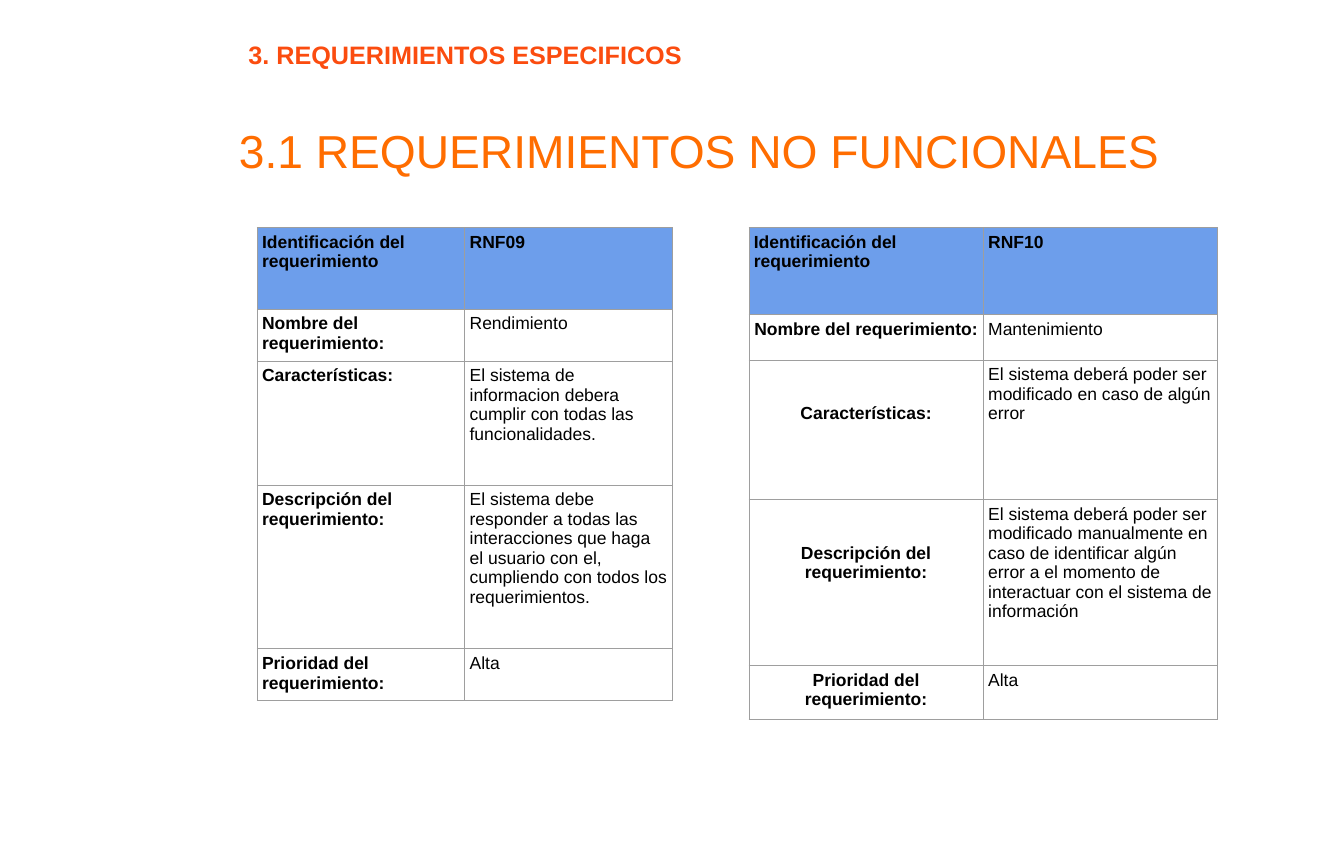
from lxml import etree
from pptx import Presentation
from pptx.dml.color import RGBColor
from pptx.enum.text import MSO_ANCHOR, MSO_AUTO_SIZE, PP_ALIGN
from pptx.oxml.ns import qn
from pptx.util import Inches, Pt

MIDDLE = MSO_ANCHOR.MIDDLE
NO_AUTOFIT = MSO_AUTO_SIZE.NONE
LEFT, CENTER = PP_ALIGN.LEFT, PP_ALIGN.CENTER

ORANGE = RGBColor(0xFF, 0x6D, 0x00)
RED_ORANGE = RGBColor(0xFB, 0x4C, 0x0F)
BLACK = RGBColor(0, 0, 0)
HEADER_BLUE = RGBColor(0x6D, 0x9E, 0xEB)
BORDER_GRAY = RGBColor(0x9E, 0x9E, 0x9E)

SLIDE_WIDTH, SLIDE_HEIGHT = 26.67, 17.22
TABLE_TOP = 4.51
CELL_MARGIN = 0.1
LOWERED_MARGIN = 0.87  # two text lines below the usual margin
MARGIN_SIDES = ("left", "right", "top", "bottom")

TITLE = "3.1 REQUERIMIENTOS NO FUNCIONALES"
SECTION = "3. REQUERIMIENTOS ESPECIFICOS"
LABELS = [
    "Identificación del requerimiento",
    "Nombre del requerimiento:",
    "Características:",
    "Descripción del requerimiento:",
    "Prioridad del requerimiento:",
]
REQUIREMENTS = [
    {
        "left": 5.1,
        "column_width": 4.12,
        "row_heights": [1.62, 1.03, 2.46, 3.25, 1.03],
        "label_alignment": LEFT,
        "lowered_rows": (),
        "values": [
            "RNF09",
            "Rendimiento",
            "El sistema de informacion debera cumplir con todas las funcionalidades.",
            "El sistema debe responder a todas las interacciones que haga el usuario "
            "con el, cumpliendo con todos los requerimientos.",
            "Alta",
        ],
    },
    {
        "left": 14.86,
        "column_width": 4.65,
        "row_heights": [1.73, 0.9, 2.77, 3.29, 1.07],
        "label_alignment": CENTER,
        "lowered_rows": (2, 3),
        "values": [
            "RNF10",
            "Mantenimiento",
            "El sistema deberá poder ser modificado en caso de algún error",
            "El sistema deberá poder ser modificado manualmente en caso de identificar "
            "algún error a el momento de interactuar con el sistema de información",
            "Alta",
        ],
    },
]


def write_text(text_frame, text, size, color, bold, alignment):
    paragraph = text_frame.paragraphs[0]
    paragraph.alignment = alignment
    run = paragraph.add_run()
    run.text = text
    font_values = {"name": "Arial", "size": Pt(size), "bold": bold}
    for name, value in font_values.items():
        setattr(run.font, name, value)
    run.font.color.rgb = color


def set_margins(target, margins):
    for side, margin in zip(MARGIN_SIDES, margins):
        setattr(target, f"margin_{side}", Inches(margin))


def place_heading(shape, box, *text_format):
    for name, value in zip(("left", "top", "width", "height"), box):
        setattr(shape, name, Inches(value))
    text_frame = shape.text_frame
    frame_values = {"word_wrap": True, "auto_size": NO_AUTOFIT, "vertical_anchor": MIDDLE}
    for name, value in frame_values.items():
        setattr(text_frame, name, value)
    set_margins(text_frame, [0.08] * 4)
    write_text(text_frame, *text_format)


def add_borders(cell):
    properties = cell._tc.get_or_add_tcPr()
    for side in ("lnL", "lnR", "lnT", "lnB"):
        line = etree.SubElement(properties, qn(f"a:{side}"), w=str(Pt(0.75)))
        fill = etree.SubElement(line, qn("a:solidFill"))
        etree.SubElement(fill, qn("a:srgbClr"), val=str(BORDER_GRAY))


def format_cell(cell, text, bold, alignment, is_header, top_margin):
    add_borders(cell)
    if is_header:
        cell.fill.solid()
        cell.fill.fore_color.rgb = HEADER_BLUE
    else:
        cell.fill.background()
    set_margins(cell, (CELL_MARGIN, CELL_MARGIN, top_margin, CELL_MARGIN))
    write_text(cell.text_frame, text, 25, BLACK, bold, alignment)


def add_requirement_table(slide, requirement):
    heights = requirement["row_heights"]
    width = requirement["column_width"]
    table = slide.shapes.add_table(
        len(LABELS), 2, Inches(requirement["left"]), Inches(TABLE_TOP),
        Inches(2 * width), Inches(sum(heights)),
    ).table
    table.first_row = table.horz_banding = False
    for column in table.columns:
        column.width = Inches(width)
    for index, (label, value) in enumerate(zip(LABELS, requirement["values"])):
        table.rows[index].height = Inches(heights[index])
        is_header = index == 0
        alignment = LEFT if is_header else requirement["label_alignment"]
        lowered = index in requirement["lowered_rows"]
        top_margin = LOWERED_MARGIN if lowered else CELL_MARGIN
        format_cell(table.cell(index, 0), label, True, alignment, is_header, top_margin)
        format_cell(table.cell(index, 1), value, is_header, LEFT, is_header, CELL_MARGIN)


def main():
    presentation = Presentation()
    presentation.slide_width = Inches(SLIDE_WIDTH)
    presentation.slide_height = Inches(SLIDE_HEIGHT)
    section_layout = presentation.slide_layouts[2]
    slide = presentation.slides.add_slide(section_layout)
    title, section = slide.placeholders
    place_heading(title, (3.82, 2.35, 20.11, 1.27), TITLE, 66, ORANGE, False, CENTER)
    place_heading(section, (4.85, 0.69, 9.15, 0.76), SECTION, 36, RED_ORANGE, True, LEFT)
    for requirement in REQUIREMENTS:
        add_requirement_table(slide, requirement)
    presentation.save("out.pptx")


if __name__ == "__main__":
    main()
